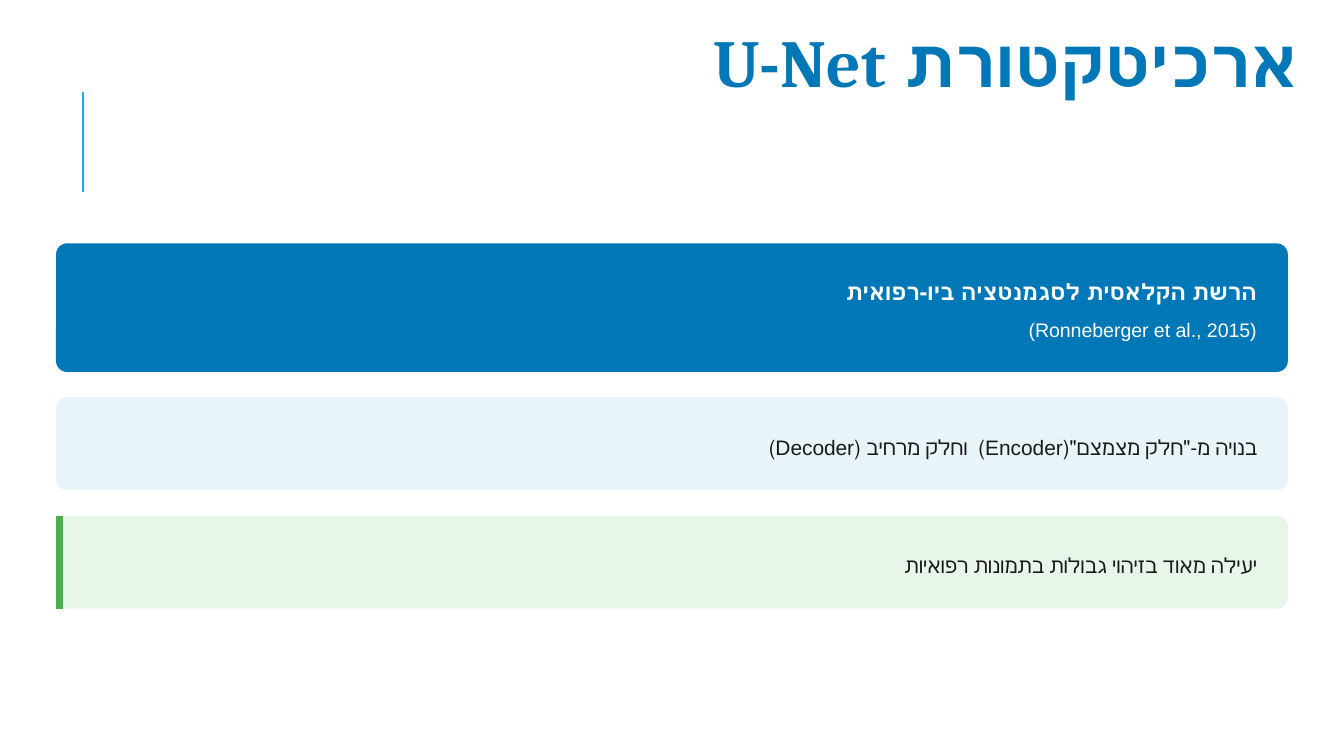
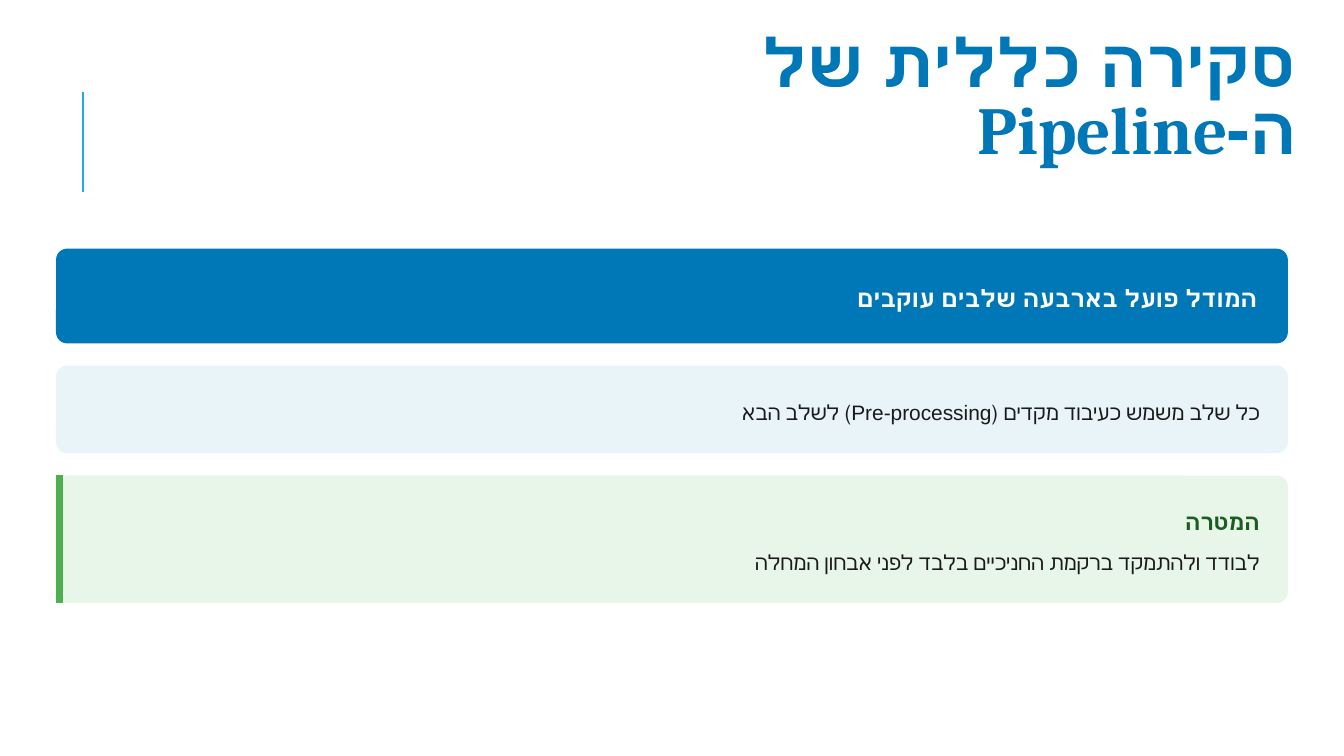
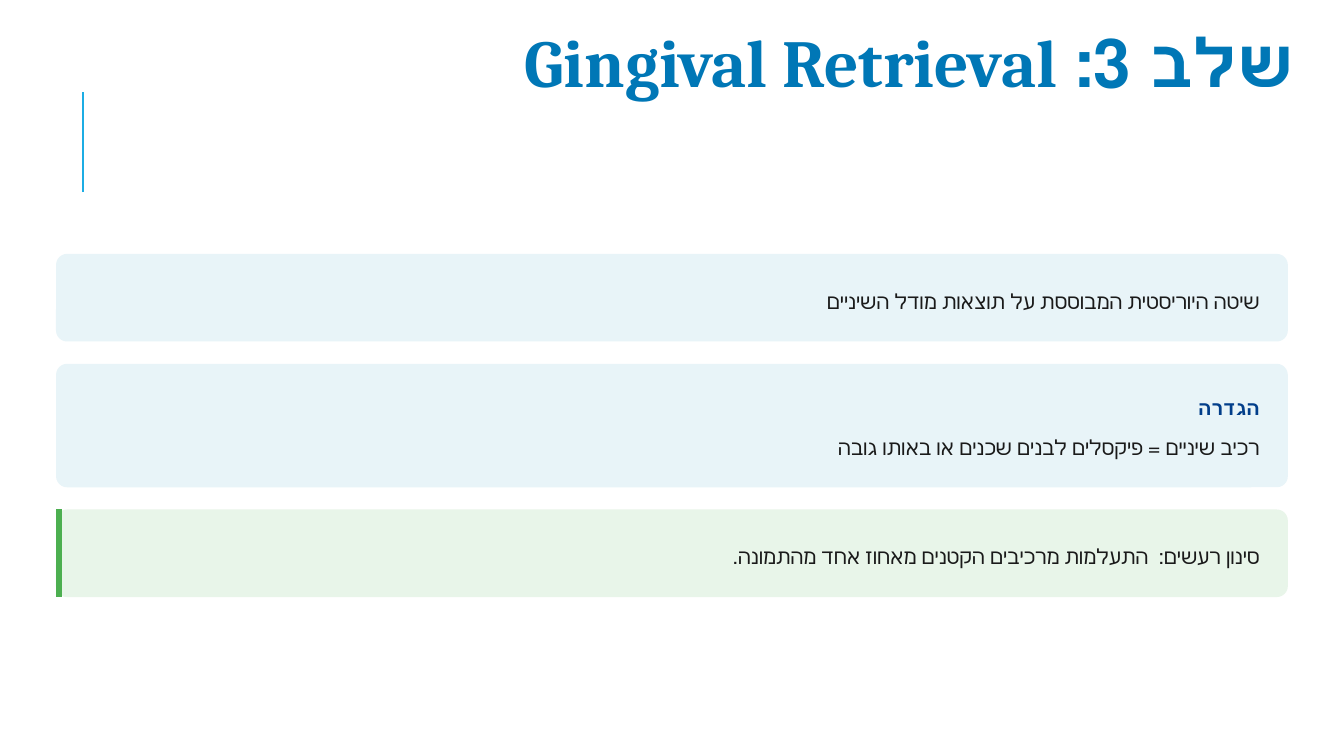
from lxml.etree import SubElement
from pptx import Presentation
from pptx.dml.color import RGBColor as RGB
from pptx.enum.shapes import MSO_CONNECTOR as LINE, MSO_SHAPE as SHAPE
from pptx.enum.text import MSO_ANCHOR as ANCHOR, MSO_AUTO_SIZE as FIT, PP_ALIGN as ALIGN
from pptx.oxml.ns import qn
from pptx.util import Cm, Pt

BLUE = RGB(0x00, 0x77, 0xB6)
SKY = RGB(0x1C, 0xAD, 0xE4)
PALE = RGB(0xE8, 0xF4, 0xF8)
MINT = RGB(0xE8, 0xF5, 0xE9)
GREEN = RGB(0x4C, 0xAF, 0x50)
FOREST = RGB(0x1B, 0x5E, 0x20)
NAVY = RGB(0x02, 0x3E, 0x8A)
INK = RGB(0x1A, 0x1A, 0x1A)
WHITE = RGB(0xFF, 0xFF, 0xFF)

EDGE, WIDE, ROUND = 1.06, 23.28, 0.21
CM_PT = 2.54 / 72

# size, line height, colour, bold
LEAD = (12, 16.8, WHITE, True)
BIG = (12.8, 17.9, WHITE, True)
CITE = (10.5, 14.7, WHITE, False)
TEXT = (11.2, 16.9, INK, False)
GOAL = (12, 16.8, FOREST, True)
TERM = (10.5, 14.7, NAVY, True)

# title, its left, width and alignment, top of cards, gap, bar weight, cards
# card: fill, padding, lines of (text, style, right-to-left)
SLIDES = [
    ("ארכיטקטורת U-Net", 12.95, 12.45, ALIGN.LEFT, 4.6, 0.48, 3.75, [
        (BLUE, 0.58, [("הרשת הקלאסית לסגמנטציה ביו-רפואית", LEAD, True),
                      ("(Ronneberger et al., 2015)", CITE, False)]),
        (PALE, 0.58, [("בנויה מ-\"חלק מצמצם\"(Encoder)  וחלק מרחיב (Decoder)", TEXT, True)]),
        (MINT, 0.58, [("יעילה מאוד בזיהוי גבולות בתמונות רפואיות", TEXT, False)]),
    ]),
    ("סקירה כללית של ה-Pipeline", 8.92, 16.1, ALIGN.RIGHT, 4.7, 0.42, 3.75, [
        (BLUE, 0.58, [("המודל פועל בארבעה שלבים עוקבים", BIG, False)]),
        (PALE, 0.53, [("כל שלב משמש כעיבוד מקדים (Pre-processing) לשלב הבא", TEXT, True)]),
        (MINT, 0.53, [("המטרה", GOAL, False),
                      ("לבודד ולהתמקד ברקמת החניכיים בלבד לפני אבחון המחלה", TEXT, False)]),
    ]),
    ("שלב 3: Gingival Retrieval", 7.59, 17.4, ALIGN.RIGHT, 4.8, 0.42, 3, [
        (PALE, 0.53, [("שיטה היוריסטית המבוססת על תוצאות מודל השיניים", TEXT, False)]),
        (PALE, 0.53, [("הגדרה", TERM, False),
                      ("רכיב שיניים = פיקסלים לבנים שכנים או באותו גובה", TEXT, True)]),
        (MINT, 0.53, [("סינון רעשים:  התעלמות מרכיבים הקטנים מאחוז אחד מהתמונה.", TEXT, True)]),
    ]),
]


def rule(slide, x, top, end, color, weight):
    line = slide.shapes.add_connector(LINE.STRAIGHT, Cm(x), Cm(top), Cm(x), Cm(end))
    line.line.color.rgb = color
    line.line.width = Pt(weight)
    SubElement(line._element.spPr, qn("a:effectLst"))


def write(frame, text, font, style, align, rtl):
    size, lead, color, bold = style
    frame.word_wrap = True
    frame.auto_size = FIT.NONE
    frame.vertical_anchor = ANCHOR.TOP
    par = frame.paragraphs[0]
    par.text = text
    par.alignment = align
    par.line_spacing = Pt(lead)
    if rtl:
        par._p.get_or_add_pPr().set("rtl", "1")
    par.font.name = font
    par.font.size = Pt(size)
    par.font.bold = bold
    par.font.color.rgb = color


deck = Presentation()
deck.slide_width, deck.slide_height = Cm(25.4), Cm(14.29)

for name, left, width, align, top, gap, weight, cards in SLIDES:
    slide = deck.slides.add_slide(deck.slide_layouts[5])
    rule(slide, 1.57, 3.63, 1.73, SKY, 1.5)

    title = slide.shapes.title
    title.left, title.top, title.width, title.height = Cm(left), Cm(0), Cm(width), Cm(2.16)
    frame = title.text_frame
    frame.margin_left = frame.margin_right = Cm(0.53)
    frame.margin_top, frame.margin_bottom = Cm(0.64), Cm(0.25)
    write(frame, name, "Cambria", (36, 36, BLUE, True), align, True)

    for fill, pad, lines in cards:
        tall = 2 * pad + sum(style[1] * CM_PT for _, style, _ in lines) + 0.16 * (len(lines) - 1)
        card = slide.shapes.add_shape(SHAPE.ROUNDED_RECTANGLE, Cm(EDGE), Cm(top), Cm(WIDE), Cm(tall))
        card.adjustments[0] = ROUND / tall
        card.fill.solid()
        card.fill.fore_color.rgb = fill
        card.line.fill.background()
        card.shadow.inherit = False

        start = EDGE + pad - 0.45
        if fill == MINT:
            bar = weight * CM_PT
            rule(slide, EDGE + bar / 2, top, top + tall, GREEN, weight)
            start += bar

        y = top + pad
        for text, style, rtl in lines:
            high = style[1] * CM_PT
            box = slide.shapes.add_textbox(Cm(start), Cm(y), Cm(EDGE + WIDE - pad - start), Cm(high))
            frame = box.text_frame
            frame.margin_left = frame.margin_right = frame.margin_top = frame.margin_bottom = 0
            write(frame, text, "Arial", style, ALIGN.RIGHT, rtl)
            y += high + 0.16
        top += tall + gap

deck.save("out.pptx")
